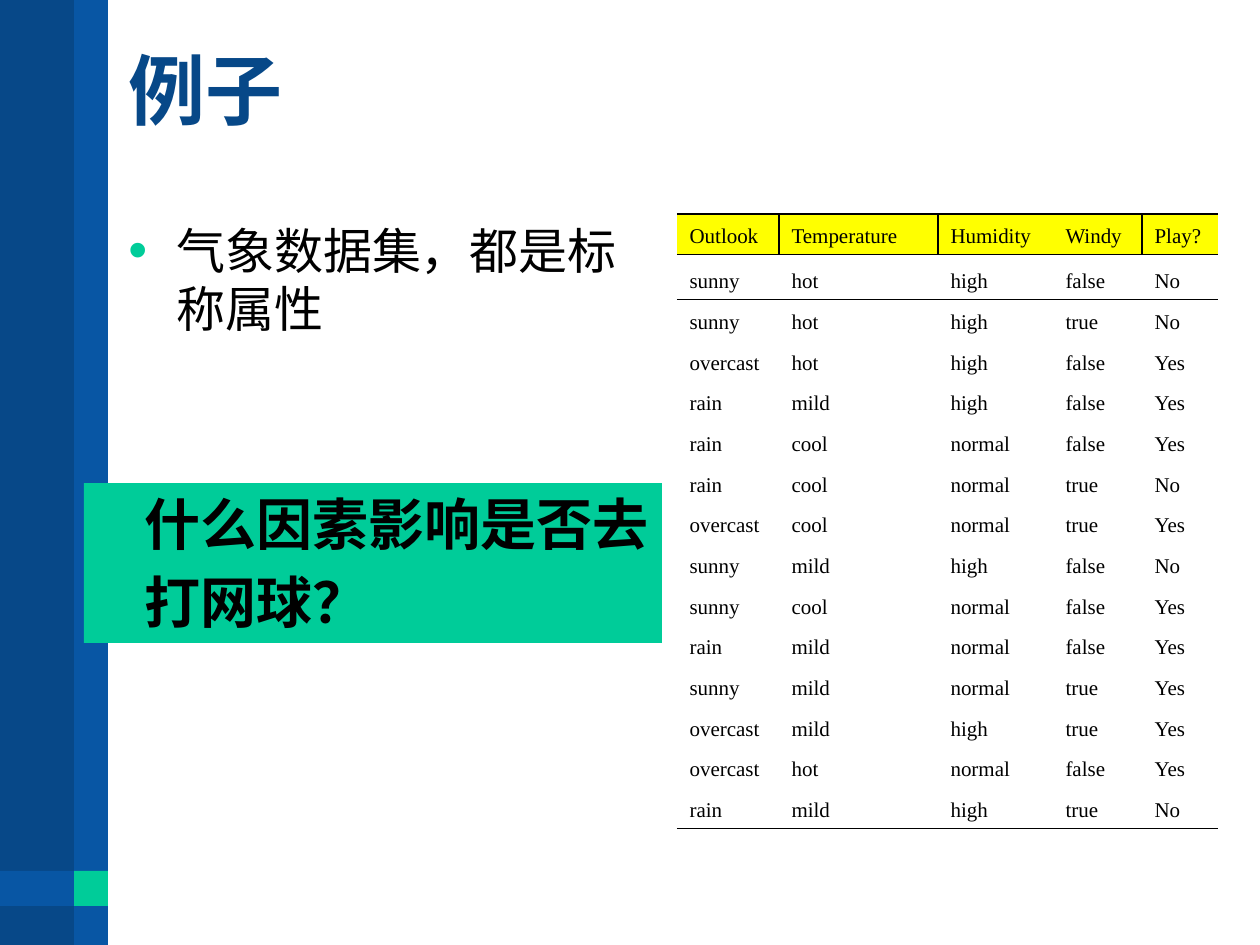
from lxml import etree
from pptx import Presentation
from pptx import util as u
from pptx.dml.color import RGBColor
from pptx.enum import shapes, text
from pptx.oxml.ns import qn

PX_PER_INCH = 126
NAVY, BLUE, GREEN, YELLOW, BLACK = "074888", "0856A4", "00CC99", "FFFF00", "000000"
PLAIN_TABLE = "{2D5ABB26-0587-4C30-8999-92F81FD0307C}"

WEATHER = [line.split() for line in """
Outlook Temperature Humidity Windy Play?
sunny hot high false No
sunny hot high true No
overcast hot high false Yes
rain mild high false Yes
rain cool normal false Yes
rain cool normal true No
overcast cool normal true Yes
sunny mild high false No
sunny cool normal false Yes
rain mild normal false Yes
sunny mild normal true Yes
overcast mild high true Yes
overcast hot normal false Yes
rain mild high true No
""".strip().splitlines()]


def px(length):
    return u.Emu(round(length * 914400 / PX_PER_INCH))


def color(hex_value):
    return RGBColor.from_string(hex_value)


def apply(target, formats):
    for name, value in formats.items():
        setattr(target, name, value)


class WeatherSlide:
    """Holds the style and the current slide."""

    heading_font = {"size": u.Pt(44), "bold": True, "name": "Arial"}
    bullet_font = {"size": u.Pt(28), "name": "Arial"}
    question_font = {"size": u.Pt(32), "bold": True, "name": "Arial"}
    cell_font = {"size": u.Pt(12), "bold": False, "name": "Times New Roman"}

    def __init__(self, deck):
        self.slide = deck.slides.add_slide(deck.slide_layouts[5])

    def add_words(self, paragraph, words, font, ink=BLACK):
        run = paragraph.add_run()
        run.text = words
        apply(run.font, font)
        run.font.color.rgb = color(ink)

    def hang(self, paragraph, margin):
        """Indent the paragraph, with its first line 48 px further left."""
        properties = paragraph._p.get_or_add_pPr()
        properties.set("marL", str(px(margin)))
        properties.set("indent", str(px(-48)))
        return properties

    def block(self, left, top, width, height, fill):
        rectangle = self.slide.shapes.add_shape(
            shapes.MSO_SHAPE.RECTANGLE, px(left), px(top), px(width), px(height))
        rectangle.shadow.inherit = False
        rectangle.fill.solid()
        rectangle.fill.fore_color.rgb = color(fill)
        rectangle.line.fill.background()
        return rectangle

    def title(self, words, left, top, width, height):
        title = self.slide.shapes.title
        apply(title, {"left": px(left), "top": px(top),
                      "width": px(width), "height": px(height)})
        apply(title.text_frame, {"vertical_anchor": text.MSO_ANCHOR.MIDDLE,
                                 "auto_size": text.MSO_AUTO_SIZE.NONE})
        paragraph = title.text_frame.paragraphs[0]
        apply(paragraph, {"alignment": text.PP_ALIGN.LEFT, "line_spacing": u.Pt(32)})
        self.add_words(paragraph, words, self.heading_font, NAVY)

    def bullet(self, words, left, top, width, height):
        frame = self.slide.shapes.add_textbox(
            px(left), px(top), px(width), px(height)).text_frame
        frame.word_wrap = True
        paragraph = frame.paragraphs[0]
        properties = self.hang(paragraph, 48)
        tint = etree.SubElement(properties, qn("a:buClr"))
        etree.SubElement(tint, qn("a:srgbClr"), val=GREEN)
        etree.SubElement(properties, qn("a:buSzPct"), val="110000")
        etree.SubElement(properties, qn("a:buFont"), typeface="Arial")
        etree.SubElement(properties, qn("a:buChar"), char="•")
        self.add_words(paragraph, words, self.bullet_font)

    def question(self, lines, left, top, width, height):
        frame = self.block(left, top, width, height, GREEN).text_frame
        apply(frame, {"word_wrap": False, "vertical_anchor": text.MSO_ANCHOR.TOP,
                      "auto_size": text.MSO_AUTO_SIZE.SHAPE_TO_FIT_TEXT})
        for index, line in enumerate(lines):
            paragraph = frame.add_paragraph() if index else frame.paragraphs[0]
            apply(paragraph, {"alignment": text.PP_ALIGN.LEFT, "space_before": u.Pt(6.4)})
            self.hang(paragraph, 96)
            self.add_words(paragraph, line, self.question_font)

    def borders(self, cell, sides):
        """Draw 1 pt lines on the given sides, a subset of LRTB in that order."""
        properties = cell._tc.get_or_add_tcPr()
        for position, side in enumerate(sides):
            line = etree.Element(qn(f"a:ln{side}"), w=str(u.Pt(1)))
            fill = etree.SubElement(line, qn("a:solidFill"))
            etree.SubElement(fill, qn("a:srgbClr"), val=BLACK)
            properties.insert(position, line)

    def table(self, records, left, top, widths, height, first_record_height):
        table = self.slide.shapes.add_table(
            len(records), len(widths), px(left), px(top),
            px(sum(widths)), px(height)).table
        apply(table, {"first_row": False, "horz_banding": False})
        table._tbl.tblPr.find(qn("a:tableStyleId")).text = PLAIN_TABLE
        for column, width in zip(table.columns, widths):
            column.width = px(width)
        row_height = (height - first_record_height) / (len(records) - 1)
        header_sides = ["RTB", "LTB", "TB", "RTB", "LTB"]
        for r, record in enumerate(records):
            table.rows[r].height = px(first_record_height if r == 1 else row_height)
            for c, value in enumerate(record):
                cell = table.cell(r, c)
                cell.vertical_anchor = text.MSO_ANCHOR.BOTTOM
                self.add_words(cell.text_frame.paragraphs[0], value, self.cell_font)
                if r == 0:
                    cell.fill.solid()
                    cell.fill.fore_color.rgb = color(YELLOW)
                    self.borders(cell, header_sides[c])
                else:
                    cell.fill.background()
                    self.borders(cell, {1: "T", len(records) - 1: "B"}.get(r, ""))


def main():
    deck = Presentation()
    apply(deck, {"slide_width": px(1260), "slide_height": px(945)})
    page = WeatherSlide(deck)
    page.block(0, 0, 105, 945, NAVY)
    page.block(74, 0, 34, 945, BLUE)
    page.block(0, 871, 105, 35, BLUE)
    page.block(74, 871, 34, 35, GREEN)
    page.title("例子", 116, 28, 1102, 158)
    page.bullet("气象数据集，都是标称属性", 116, 214, 541, 615)
    page.question(["什么因素影响是否去", "打网球？"], 84, 483, 578, 160)
    page.table(WEATHER, 677, 214, [102, 159, 115, 89, 76], 615, 45)
    deck.save("out.pptx")


if __name__ == "__main__":
    main()
